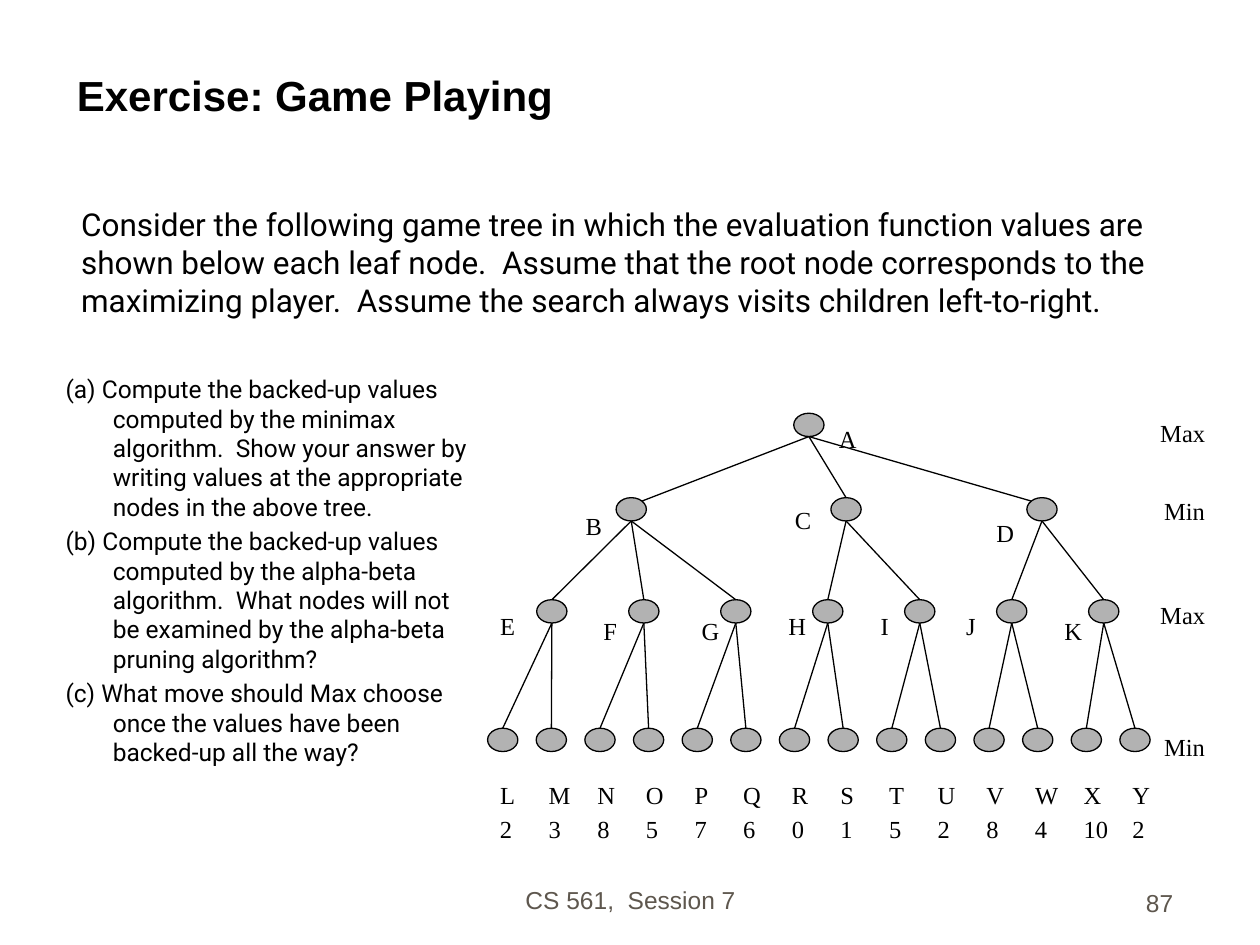
from lxml import etree
from pptx import Presentation
from pptx import util as u
from pptx.dml.color import RGBColor
from pptx.enum import shapes, text
from pptx.oxml import ns

COLORS = {"ink": "000000", "footer": "5E574E", "node": "B2B2B2"}
LEFT, CENTER, RIGHT = text.PP_ALIGN.LEFT, text.PP_ALIGN.CENTER, text.PP_ALIGN.RIGHT
TOP, BOTTOM = text.MSO_ANCHOR.TOP, text.MSO_ANCHOR.BOTTOM

# The slide is a grid of 100 columns and 75 rows.
COLUMNS, ROWS = 100, 75
NODE_W, NODE_H = 2.4, 1.85
LABEL_H = 3.3
LEVEL_TOPS = (32.8, 39.5, 47.6, 57.8)
LEVELS = (
    dict(A=64.2),
    dict(B=50.1, C=67.15, D=82.7),
    {name: 43.8 + 7.3 * i for i, name in enumerate("EFGHIJK")},
    {name: 39.9 + 3.86 * i for i, name in enumerate("LMNOPQRSTUVWXY")},
)
CHILDREN = dict(A="BCD", B="EFG", C="HI", D="JK", E="LM", F="NO", G="PQ",
                H="RS", I="TU", J="VW", K="XY")
LEAF_VALUES = (2, 3, 8, 5, 7, 6, 0, 1, 5, 2, 8, 4, 10, 2)
CORNER_SIDES = dict(B=1, D=-1)  # edges that meet the node's upper right or left
INNER_LABELS = dict(
    A=(65.6, 33.2), B=(45.5, 40.1), C=(62.1, 39.6), D=(78.1, 40.6),
    E=(38.7, 48), F=(46.9, 48.4), G=(54.7, 48.4), H=(61.6, 48),
    I=(68.9, 48), J=(75.7, 48), K=(83.5, 48.4))
PLAYERS = (("Max", 32.7), ("Min", 38.9), ("Max", 47.1), ("Min", 57.6))
LABEL_WIDTHS = {"I": 2.6, "J": 2.8, "M": 3.8, "W": 3.8, "10": 4, "Max": 5.6, "Min": 5.3}
LABEL_WIDTHS.update(dict.fromkeys("0123456789", 3))
LABEL_WIDTHS.update(dict.fromkeys("FPS", 3.1))
LABEL_WIDTHS.update(dict.fromkeys("ELT", 3.2))
LABEL_WIDTHS.update(dict.fromkeys("BCR", 3.3))

INTRO = ("\tConsider the following game tree in which the evaluation function values are "
         "shown below each leaf node.  Assume that the root node corresponds to the "
         "maximizing player.  Assume the search always visits children left-to-right.")
QUESTIONS = (
    "(a) Compute the backed-up values computed by the minimax algorithm.  Show your "
    "answer by writing values at the appropriate nodes in the above tree.",
    "(b) Compute the backed-up values computed by the alpha-beta  algorithm.  What "
    "nodes will not be examined by the alpha-beta pruning algorithm?",
    "(c) What move should Max choose once the values have been backed-up all the way?",
)


class Sheet:
    """Holds the style and the current slide; lengths are grid columns and rows."""

    def __init__(self, deck):
        self.column = deck.slide_width / COLUMNS
        self.row = deck.slide_height / ROWS
        self.page = deck.slides.add_slide(deck.slide_layouts[1])

    def place(self, x, y, w, h):
        return [round(n) for n in (x * self.column, y * self.row,
                                   w * self.column, h * self.row)]

    def fill_text(self, box, lines, font, size, color="ink", bold=False,
                  align=LEFT, anchor=TOP, hanging=False):
        frame = box.text_frame
        frame.word_wrap = True
        frame.auto_size = text.MSO_AUTO_SIZE.NONE
        frame.vertical_anchor = anchor
        frame.text = "\n".join(lines)
        for i, para in enumerate(frame.paragraphs):
            para.alignment = align
            para.space_before = u.Pt(0.2 * size if i else 0)
            if hanging:
                props = para._p.get_or_add_pPr()
                indent = u.Inches(0.375)
                props.set("marL", str(indent))
                props.set("indent", str(-indent))
                etree.SubElement(props, ns.qn("a:buNone"))
            para.font.name, para.font.size, para.font.bold = font, u.Pt(size), bold
            para.font.color.rgb = RGBColor.from_string(COLORS[color])

    def placeholder(self, index, spot, lines, **style):
        box = self.page.placeholders[index]
        box.left, box.top, box.width, box.height = self.place(*spot)
        self.fill_text(box, lines, **style)

    def text_box(self, spot, line, **style):
        box = self.page.shapes.add_textbox(*self.place(*spot))
        self.fill_text(box, [line], **style)
        return box

    def label(self, x, y, word):
        spot = (x, y, LABEL_WIDTHS.get(word, 3.4), LABEL_H)
        box = self.text_box(spot, word, font="Times New Roman", size=14)
        box.text_frame.word_wrap = False
        box.text_frame.auto_size = text.MSO_AUTO_SIZE.SHAPE_TO_FIT_TEXT

    def outline(self, shape):
        shape.line.color.rgb = RGBColor.from_string(COLORS["ink"])
        shape.line.width = u.Pt(0.75)

    def node(self, center, top):
        spot = self.place(center - NODE_W / 2, top, NODE_W, NODE_H)
        oval = self.page.shapes.add_shape(shapes.MSO_SHAPE.OVAL, *spot)
        oval.shadow.inherit = False
        oval.fill.solid()
        oval.fill.fore_color.rgb = RGBColor.from_string(COLORS["node"])
        self.outline(oval)

    def edge(self, x1, y1, x2, y2):
        line = self.page.shapes.add_connector(
            shapes.MSO_CONNECTOR.STRAIGHT, *self.place(x1, y1, x2, y2))
        self.outline(line)
        etree.SubElement(line._element.spPr, ns.qn("a:effectLst"))


def draw_tree(sheet):
    spots = {name: (x, top) for level, top in zip(LEVELS, LEVEL_TOPS)
             for name, x in level.items()}
    for x, top in spots.values():
        sheet.node(x, top)
    for parent, children in CHILDREN.items():
        x1, y1 = spots[parent]
        for child in children:
            x2, y2 = spots[child]
            side = CORNER_SIDES.get(child, 0)
            sheet.edge(x1, y1 + NODE_H, x2 + 0.85 * side, y2 + 0.27 * abs(side))
    for name, (x, y) in INNER_LABELS.items():
        sheet.label(x, y, name)
    for (name, x), value in zip(LEVELS[-1].items(), LEAF_VALUES):
        sheet.label(x - NODE_W / 2, 61.4, name)
        sheet.label(x - NODE_W / 2, 64.1, str(value))
    for player, y in PLAYERS:
        sheet.label(96.7 - LABEL_WIDTHS[player], y, player)


def main():
    deck = Presentation()
    deck.slide_width, deck.slide_height = u.Inches(10), u.Inches(7.5)
    sheet = Sheet(deck)
    sheet.placeholder(0, (5.1, 2.5, 89.2, 7.5), ["Exercise: Game Playing"],
                      font="Arial", size=24, bold=True, anchor=BOTTOM)
    sheet.placeholder(1, (4.2, 29.2, 34.2, 36.2), QUESTIONS,
                      font="Roboto", size=14, hanging=True)
    sheet.text_box((1.7, 15.8, 90.8, 14.2), INTRO, font="Roboto", size=18, hanging=True)
    draw_tree(sheet)
    footer = dict(font="Arial", size=14, color="footer", anchor=BOTTOM)
    sheet.text_box((34.2, 68.1, 31.7, 5), "CS 561,  Session 7", align=CENTER, **footer)
    sheet.text_box((73.3, 68.3, 20.8, 5), "87", align=RIGHT, **footer)
    deck.save("out.pptx")


if __name__ == "__main__":
    main()
